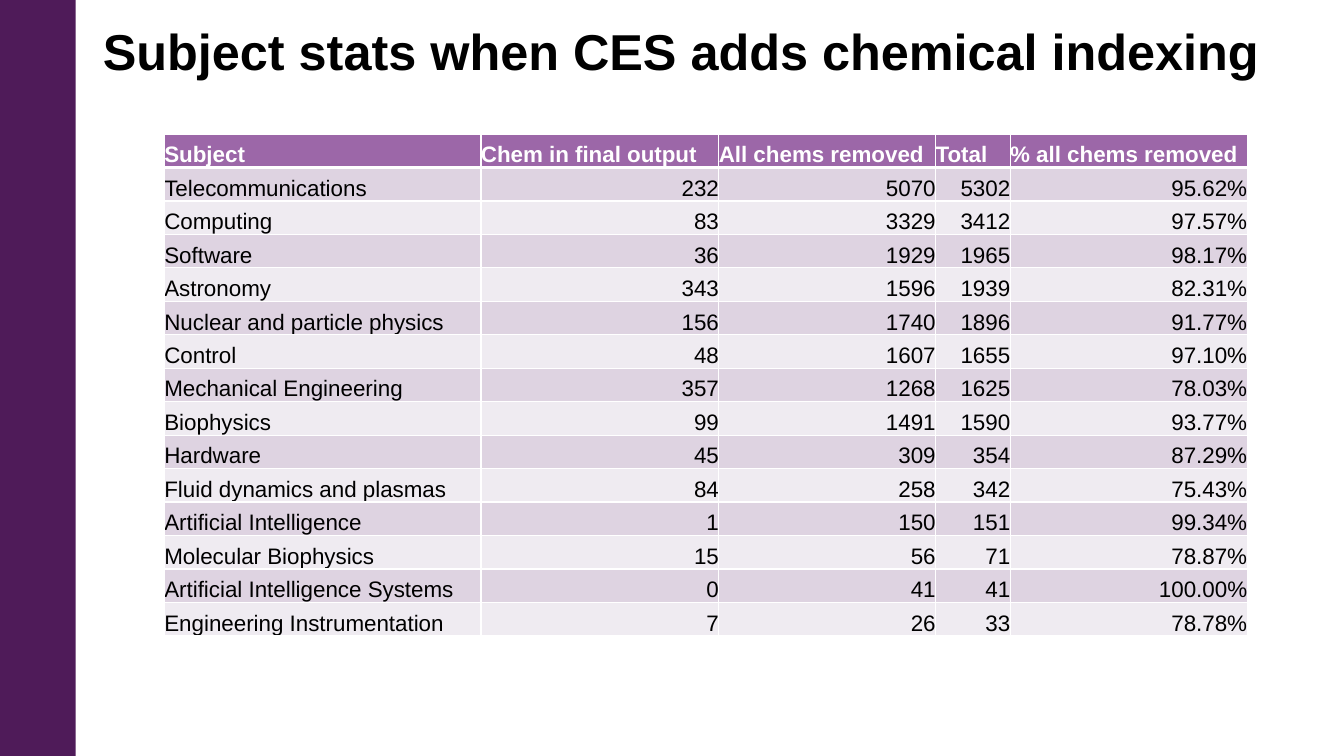
from lxml.etree import SubElement
from pptx import Presentation
from pptx.dml.color import RGBColor
from pptx.enum.shapes import MSO_SHAPE
from pptx.enum.text import MSO_ANCHOR, PP_ALIGN
from pptx.oxml.ns import qn
from pptx.util import Pt

PX = 9144  # EMU per px, 100 px to the inch
FONT = "Arial"
BLACK, WHITE = "000000", "FFFFFF"
BAR, HEADER, BANDS = "4F1B59", "9C67A8", ("EFEBF1", "DED3E1")

COLUMN_WIDTHS = (314, 236, 215, 74, 235)
ROWS = [
    ("Subject", "Chem in final output", "All chems removed", "Total",
     "% all chems removed"),
    ("Telecommunications", "232", "5070", "5302", "95.62%"),
    ("Computing", "83", "3329", "3412", "97.57%"),
    ("Software", "36", "1929", "1965", "98.17%"),
    ("Astronomy", "343", "1596", "1939", "82.31%"),
    ("Nuclear and particle physics", "156", "1740", "1896", "91.77%"),
    ("Control", "48", "1607", "1655", "97.10%"),
    ("Mechanical Engineering", "357", "1268", "1625", "78.03%"),
    ("Biophysics", "99", "1491", "1590", "93.77%"),
    ("Hardware", "45", "309", "354", "87.29%"),
    ("Fluid dynamics and plasmas", "84", "258", "342", "75.43%"),
    ("Artificial Intelligence", "1", "150", "151", "99.34%"),
    ("Molecular Biophysics", "15", "56", "71", "78.87%"),
    ("Artificial Intelligence Systems", "0", "41", "41", "100.00%"),
    ("Engineering Instrumentation", "7", "26", "33", "78.78%"),
]


def px(*lengths):
    return [n * PX for n in lengths]


def rgb(color):
    return RGBColor.from_string(color)


def set_font(p, size, color, bold):
    p.font.name = FONT
    p.font.size = Pt(size)
    p.font.bold = bold
    p.font.color.rgb = rgb(color)


def add_bar(s, *box):
    bar = s.shapes.add_shape(MSO_SHAPE.RECTANGLE, *px(*box))
    bar.shadow.inherit = False
    bar.fill.solid()
    bar.fill.fore_color.rgb = rgb(BAR)
    bar.line.fill.background()


def set_title(s, text, *box):
    sp = s.shapes.title
    sp.left, sp.top, sp.width, sp.height = px(*box)
    tf = sp.text_frame
    tf.text = text
    tf.vertical_anchor = MSO_ANCHOR.MIDDLE
    p = tf.paragraphs[0]
    p.alignment = PP_ALIGN.LEFT
    p.line_spacing = 0.9
    set_font(p, 36, BLACK, True)


def add_border(cell, side, width):
    ln = SubElement(cell._tc.get_or_add_tcPr(), qn(f"a:ln{side}"), w=str(Pt(width)))
    fill = SubElement(ln, qn("a:solidFill"))
    SubElement(fill, qn("a:srgbClr"), val=WHITE)


def fill_cell(cell, text, row, col):
    is_header = row == 0
    # Borders, with a heavier rule under the header
    for side in "LRTB":
        under_header = (row, side) in ((0, "B"), (1, "T"))
        add_border(cell, side, 3 if under_header else 1)
    cell.fill.solid()
    cell.fill.fore_color.rgb = rgb(HEADER if is_header else BANDS[row % 2])
    # Text
    cell.margin_left = cell.margin_right = cell.margin_top = cell.margin_bottom = 0
    cell.vertical_anchor = MSO_ANCHOR.BOTTOM
    cell.text = text
    p = cell.text_frame.paragraphs[0]
    p.alignment = PP_ALIGN.LEFT if is_header or col == 0 else PP_ALIGN.RIGHT
    set_font(p, 16, WHITE if is_header else BLACK, is_header)


def add_stats_table(s, left, top, height):
    box = px(left, top, sum(COLUMN_WIDTHS), height)
    table = s.shapes.add_table(len(ROWS), len(COLUMN_WIDTHS), *box).table
    for column, width in zip(table.columns, px(*COLUMN_WIDTHS)):
        column.width = width
    for row, texts in enumerate(ROWS):
        for col, text in enumerate(texts):
            fill_cell(table.cell(row, col), text, row, col)


def main():
    prs = Presentation()
    prs.slide_width, prs.slide_height = px(1333, 750)
    s = prs.slides.add_slide(prs.slide_layouts[5])  # Title Only
    add_bar(s, 0, 0, 75, 750)
    set_title(s, "Subject stats when CES adds chemical indexing", 92, 20, 1218, 68)
    add_stats_table(s, 163, 133, 498)
    prs.save("out.pptx")


if __name__ == "__main__":
    main()
